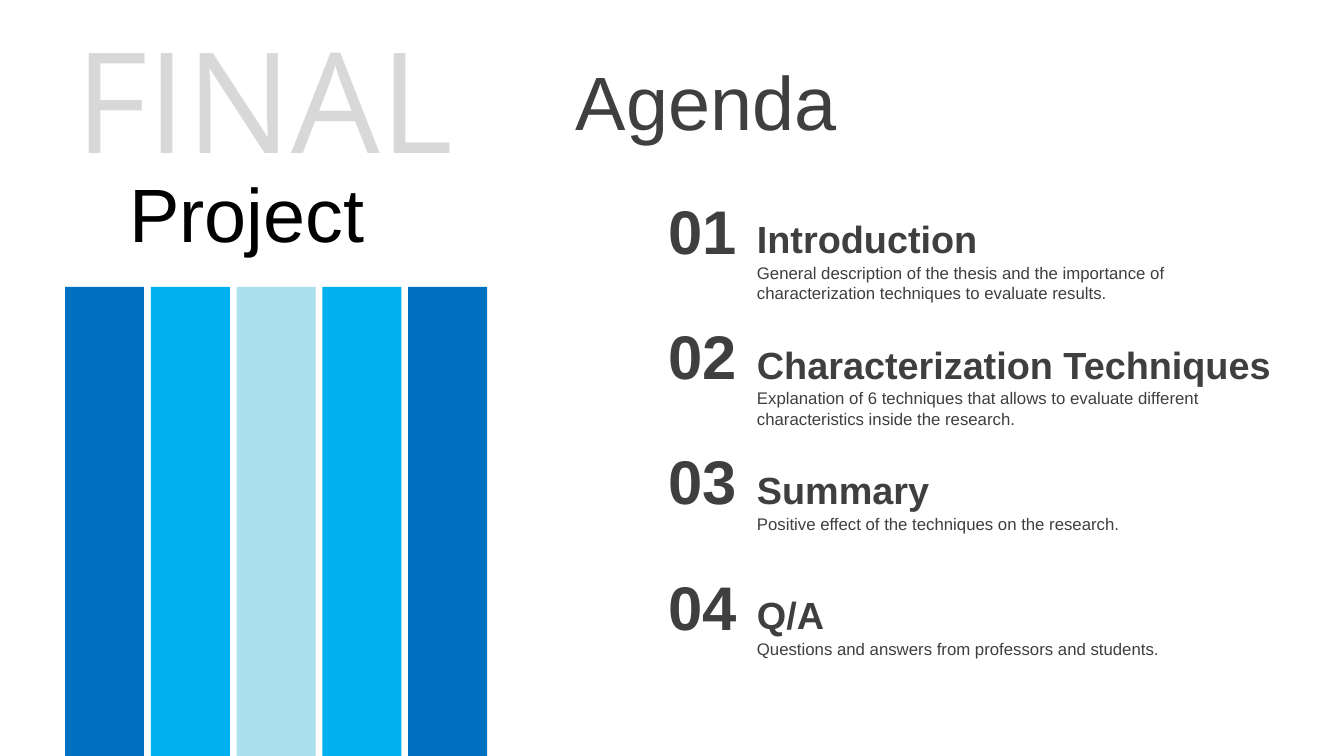
from pptx import Presentation
from pptx import util as u
from pptx.dml import color
from pptx.enum import shapes, text

PIXEL = 914400 / 100.8
SLIDE_WIDTH, SLIDE_HEIGHT = 1344, 756
DARK, GREY, BLACK = "3F3F3F", "D8D8D8", "000000"

HEADINGS = [
    ("Agenda", (566, 49, 677, 102), 54, DARK, {"middle": True}),
    ("FINAL", (65, 8, 423, 179), 100, GREY, {"font": "Open Sans"}),
    ("Project", (-425, 161, SLIDE_WIDTH, 102), 54, BLACK, {"middle": True, "centered": True}),
]
AGENDA = [
    ("Introduction", 497, 50,
     "General description of the thesis and the importance of "
     "characterization techniques to evaluate results."),
    ("Characterization Techniques", 541, 50,
     "Explanation of 6 techniques that allows to evaluate different "
     "characteristics inside the research."),
    ("Summary", 497, 30, "Positive effect of the techniques on the research."),
    ("Q/A", 497, 30, "Questions and answers from professors and students."),
]
BAR_COLORS = ["0070C0", "00B0F0", "ABE1ED", "00B0F0", "0070C0"]

AGENDA_TOP, AGENDA_PITCH = 188, 125.2
BAR_LEFT, BAR_TOP, BAR_WIDTH, BAR_PITCH = 65, 287, 79, 85.8


def px(value):
    return u.Emu(round(value * PIXEL))


def rgb(value):
    return color.RGBColor.from_string(value)


def add_text(parent, words, box, size, fill, font="Arial", bold=False,
             centered=False, middle=False, inset=10):
    frame = parent.shapes.add_textbox(*map(px, box)).text_frame
    frame.word_wrap = True
    frame.margin_left = frame.margin_right = px(inset)
    frame.margin_top = frame.margin_bottom = px(5)
    frame.vertical_anchor = text.MSO_ANCHOR.MIDDLE if middle else text.MSO_ANCHOR.TOP
    paragraph = frame.paragraphs[0]
    paragraph.text = words
    paragraph.alignment = text.PP_ALIGN.CENTER if centered else text.PP_ALIGN.LEFT
    paragraph.font.name = font
    paragraph.font.size = u.Pt(size)
    paragraph.font.bold = bold
    paragraph.font.color.rgb = rgb(fill)


presentation = Presentation()
presentation.slide_width = px(SLIDE_WIDTH)
presentation.slide_height = px(SLIDE_HEIGHT)
slide = presentation.slides.add_slide(presentation.slide_layouts[6])

for index, (title, title_width, detail_height, detail) in enumerate(AGENDA):
    top = AGENDA_TOP + index * AGENDA_PITCH
    item = slide.shapes.add_group_shape()
    add_text(item, detail, (747, top + 70, 497, detail_height), 12, DARK)
    add_text(item, title, (745, top + 23, title_width, 56), 27, DARK, bold=True, inset=12)
    add_text(item, f"{index + 1:02}", (650, top, 106, 85), 44, DARK,
             bold=True, centered=True, inset=12)

bars = slide.shapes.add_group_shape()
for index, fill in enumerate(BAR_COLORS):
    left = BAR_LEFT + index * BAR_PITCH
    bar = bars.shapes.add_shape(
        shapes.MSO_SHAPE.RECTANGLE,
        *map(px, (left, BAR_TOP, BAR_WIDTH, SLIDE_HEIGHT - BAR_TOP)))
    bar.shadow.inherit = False
    bar.fill.solid()
    bar.fill.fore_color.rgb = rgb(fill)
    bar.line.fill.background()

for words, box, size, fill, options in HEADINGS:
    add_text(slide, words, box, size, fill, **options)

presentation.save("out.pptx")
